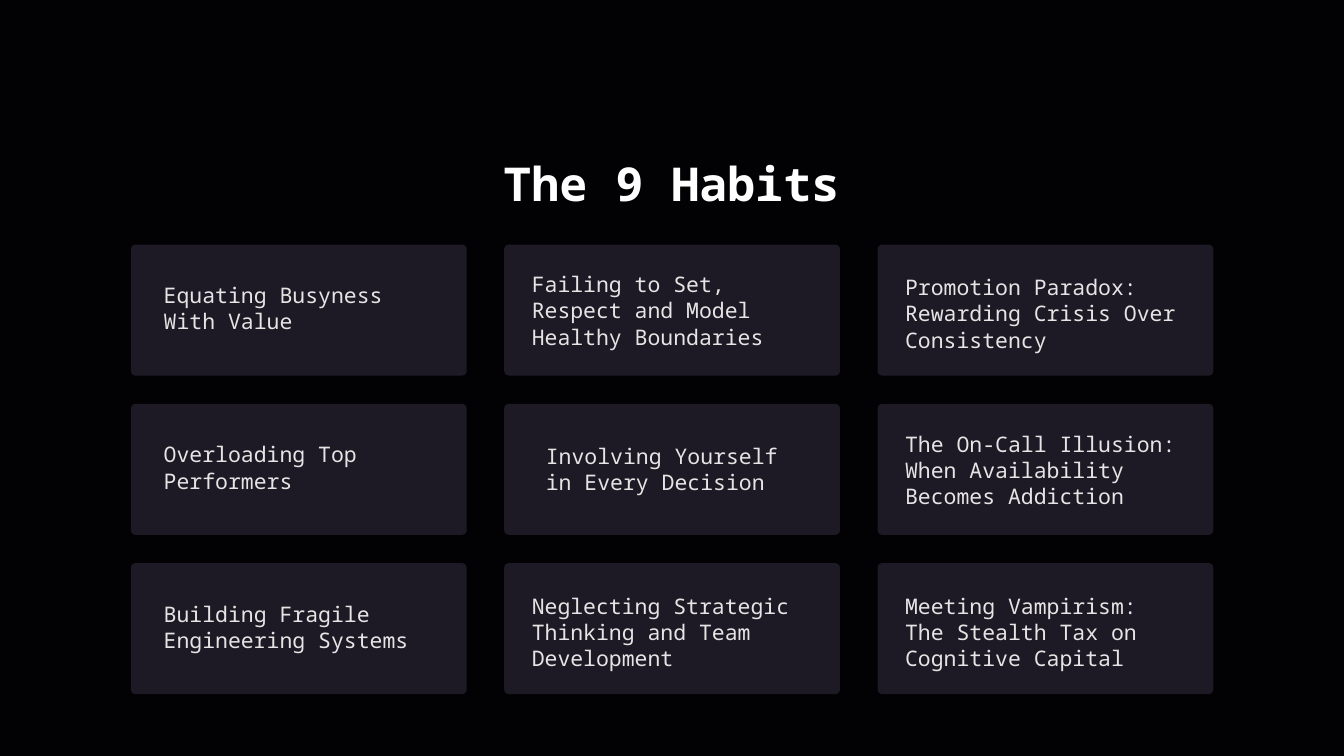
from dataclasses import dataclass

from pptx import Presentation
from pptx.dml.color import RGBColor
from pptx.enum.shapes import MSO_SHAPE
from pptx.enum.text import MSO_ANCHOR, MSO_AUTO_SIZE, PP_ALIGN
from pptx.util import Cm, Pt


@dataclass(frozen=True)
class Theme:
    background: RGBColor = RGBColor(0x02, 0x01, 0x03)
    card: RGBColor = RGBColor(0x1E, 0x1A, 0x25)
    title: RGBColor = RGBColor(0xFF, 0xFF, 0xFF)
    body: RGBColor = RGBColor(0xE6, 0xE5, 0xE5)
    font: str = "Noto Sans Mono"
    title_size: float = 50
    title_line: float = 61
    body_size: float = 23
    body_line: float = 28.1


THEME = Theme()

# Lengths in centimetres; a box is left, top, width, height
TITLE_BOX = (2.84, 5.82, 45.09, 2.16)
GRID_BOX = (4.95, 9.25, 40.91, 16.99)
CARD_WIDTH, CARD_HEIGHT = 12.69, 4.95
CORNER_RADIUS = 0.17

# Label boxes within a card
NARROW = (1.24, 1.4, 9.55, 1.96)
INSET = (1.57, 1.47, 9.55, 1.96)
WIDE_HIGH = (1.04, 0.99, 10.62, 2.95)
WIDE_LOW = (1.04, 1.1, 10.62, 2.95)

# Rows of cards, each a label and its box
HABITS = [
    [
        ("Equating Busyness With Value", NARROW),
        ("Failing to Set, Respect and Model Healthy Boundaries", WIDE_HIGH),
        ("Promotion Paradox: Rewarding Crisis Over Consistency", WIDE_LOW),
    ],
    [
        ("Overloading Top Performers", NARROW),
        ("Involving Yourself in Every Decision", INSET),
        ("The On-Call Illusion: When Availability Becomes Addiction", WIDE_HIGH),
    ],
    [
        ("Building Fragile Engineering Systems", NARROW),
        ("Neglecting Strategic Thinking and Team Development", WIDE_LOW),
        ("Meeting Vampirism: The Stealth Tax on Cognitive Capital", WIDE_LOW),
    ],
]


def write_text(shape, text, size, line, color, align, bold=False):
    frame = shape.text_frame
    frame.word_wrap = True
    frame.auto_size = MSO_AUTO_SIZE.NONE
    frame.vertical_anchor = MSO_ANCHOR.TOP
    frame.margin_left = frame.margin_right = 0
    frame.margin_top = frame.margin_bottom = 0
    frame.text = text
    para = frame.paragraphs[0]
    para.alignment = align
    para.line_spacing = Pt(line)
    para.space_before = Pt(0)
    para.font.name = THEME.font
    para.font.size = Pt(size)
    para.font.bold = bold
    para.font.color.rgb = color


def add_title(page, box, text):
    title = page.shapes.title
    title.left, title.top, title.width, title.height = map(Cm, box)
    write_text(title, text, THEME.title_size, THEME.title_line,
               THEME.title, PP_ALIGN.CENTER, bold=True)


def add_card(page, box, text, label_box):
    left, top, width, height = box
    card = page.shapes.add_shape(MSO_SHAPE.ROUNDED_RECTANGLE, *map(Cm, box))
    card.adjustments[0] = CORNER_RADIUS / height
    card.shadow.inherit = False
    card.fill.solid()
    card.fill.fore_color.rgb = THEME.card
    card.line.fill.background()

    # Label, placed from the card's corner
    dx, dy, label_width, label_height = label_box
    label = page.shapes.add_textbox(
        Cm(left + dx), Cm(top + dy), Cm(label_width), Cm(label_height))
    write_text(label, text, THEME.body_size, THEME.body_line,
               THEME.body, PP_ALIGN.LEFT)


def add_card_grid(page, box, rows):
    left, top, width, height = box
    step_x = (width - CARD_WIDTH) / (len(rows[0]) - 1)
    step_y = (height - CARD_HEIGHT) / (len(rows) - 1)
    for row, cards in enumerate(rows):
        for column, (text, label_box) in enumerate(cards):
            card_box = (left + column * step_x, top + row * step_y,
                        CARD_WIDTH, CARD_HEIGHT)
            add_card(page, card_box, text, label_box)


def main():
    deck = Presentation()
    deck.slide_width, deck.slide_height = Cm(50.8), Cm(28.58)

    # Title-only page on a dark background
    page = deck.slides.add_slide(deck.slide_layouts[5])
    page.background.fill.solid()
    page.background.fill.fore_color.rgb = THEME.background

    add_title(page, TITLE_BOX, "The 9 Habits")
    add_card_grid(page, GRID_BOX, HABITS)
    deck.save("out.pptx")


if __name__ == "__main__":
    main()
